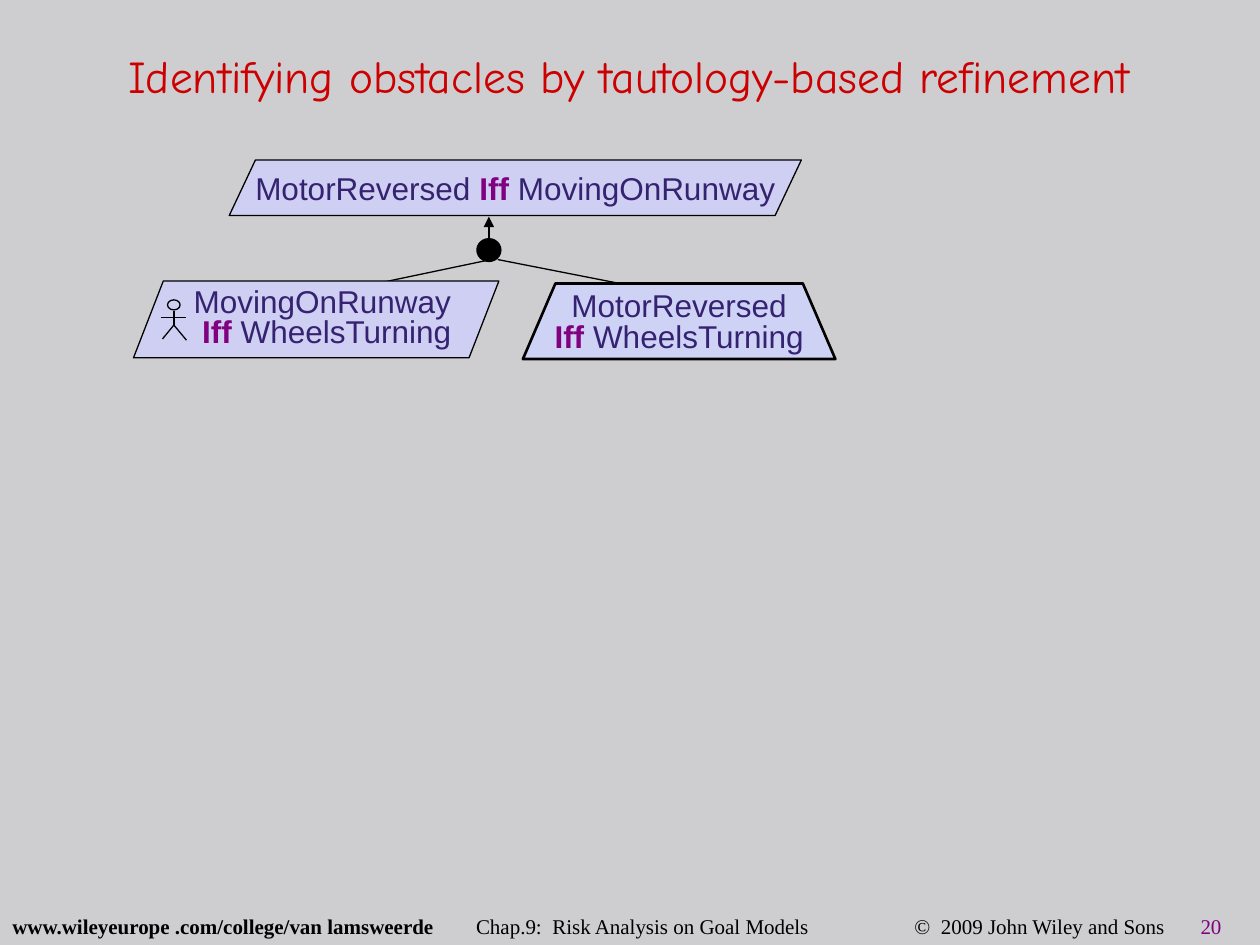
from dataclasses import dataclass

from lxml.etree import SubElement
from pptx import Presentation
from pptx.dml.color import RGBColor
from pptx.enum.shapes import MSO_CONNECTOR, MSO_SHAPE
from pptx.enum.text import MSO_ANCHOR, PP_ALIGN
from pptx.oxml.ns import qn
from pptx.util import Inches, Pt


@dataclass(frozen=True)
class Theme:
    background: str = "CECED0"
    title: str = "CC0000"
    goal: str = "CECFF2"
    obstacle: str = "CED3F6"
    text: str = "352270"
    accent: str = "800080"
    ink: str = "000000"
    title_font: str = "Comic Neue"
    body_font: str = "Arial"
    footer_font: str = "Times New Roman"
    title_size: int = 26
    body_size: int = 18
    footer_size: int = 12
    thin: float = 0.75
    thick: float = 1.5


@dataclass(frozen=True)
class Node:
    kind: MSO_SHAPE
    box: tuple
    slant: float
    fill: str
    line: float
    lines: tuple  # each line is (before, keyword, after)
    spacing: float = 0.8
    left_inset: float = 0


@dataclass(frozen=True)
class Link:
    start: tuple
    end: tuple
    arrow: bool = False


T = Theme()
IFF = "Iff "

NODES = [
    Node(MSO_SHAPE.PARALLELOGRAM, (1.82, 1.27, 4.54, 0.44), 0.472, T.goal, T.thin,
         (("MotorReversed ", IFF, "MovingOnRunway"),), spacing=1),
    Node(MSO_SHAPE.TRAPEZOID, (4.15, 2.25, 2.48, 0.6), 0.43, T.obstacle, T.thick,
         (("MotorReversed", "", ""), ("", IFF, "WheelsTurning"))),
    Node(MSO_SHAPE.PARALLELOGRAM, (1.06, 2.23, 2.9, 0.61), 0.388, T.goal, T.thin,
         (("MovingOnRunway", "", ""), ("", " " + IFF, "WheelsTurning")), left_inset=0.1),
]

REFINEMENT = [
    Link((3.95, 2.06), (4.92, 2.25)),
    Link((3.85, 2.07), (2.99, 2.25)),
    Link((3.88, 1.92), (3.88, 1.72), arrow=True),
]

AGENT_LIMBS = [
    Link((1.38, 2.47), (1.38, 2.58)),  # body
    Link((1.38, 2.58), (1.29, 2.69)),  # legs
    Link((1.38, 2.58), (1.48, 2.7)),
    Link((1.28, 2.52), (1.48, 2.52)),  # arms
]


def rgb(color: str) -> RGBColor:
    return RGBColor.from_string(color)


def set_font(font, name: str, size: int, color: str) -> None:
    font.name = name
    font.size = Pt(size)
    font.color.rgb = rgb(color)


def add_shape(slide, kind: MSO_SHAPE, box: tuple, fill: str | None, line: float):
    sp = slide.shapes.add_shape(kind, *map(Inches, box))
    sp.shadow.inherit = False
    if fill:
        sp.fill.solid()
        sp.fill.fore_color.rgb = rgb(fill)
    else:
        sp.fill.background()
    sp.line.color.rgb = rgb(T.ink)
    sp.line.width = Pt(line)
    return sp


def add_node(slide, node: Node) -> None:
    sp = add_shape(slide, node.kind, node.box, node.fill, node.line)
    sp.adjustments[0] = node.slant
    tf = sp.text_frame
    tf.word_wrap = False
    tf.vertical_anchor = MSO_ANCHOR.MIDDLE
    tf.margin_top = tf.margin_bottom = tf.margin_right = 0
    tf.margin_left = Inches(node.left_inset)
    for i, (before, keyword, after) in enumerate(node.lines):
        p = tf.add_paragraph() if i else tf.paragraphs[0]
        p.alignment = PP_ALIGN.CENTER
        p.line_spacing = node.spacing
        for text, color, bold in ((before, T.text, False), (keyword, T.accent, True),
                                  (after, T.text, False)):
            if text:
                r = p.add_run()
                r.text = text
                set_font(r.font, T.body_font, T.body_size, color)
                r.font.bold = bold


def add_link(slide, link: Link) -> None:
    ends = map(Inches, link.start + link.end)
    cx = slide.shapes.add_connector(MSO_CONNECTOR.STRAIGHT, *ends)
    cx.line.color.rgb = rgb(T.ink)
    cx.line.width = Pt(T.thin)
    if link.arrow:
        SubElement(cx.line._get_or_add_ln(), qn("a:tailEnd"), type="triangle")
    SubElement(cx._element.spPr, qn("a:effectLst"))


def add_title(slide, text: str) -> None:
    sp = slide.shapes.title
    sp.left, sp.top, sp.width, sp.height = map(Inches, (0.37, 0.16, 9.25, 0.83))
    tf = sp.text_frame
    tf.text = text
    tf.vertical_anchor = MSO_ANCHOR.MIDDLE
    p = tf.paragraphs[0]
    p.alignment = PP_ALIGN.CENTER
    p.line_spacing = 1.1
    set_font(p.font, T.title_font, T.title_size, T.title)


def add_footer(slide) -> None:
    tf = slide.shapes.add_textbox(*map(Inches, (0, 7.26, 9.97, 0.24))).text_frame
    tf.word_wrap = True
    p = tf.paragraphs[0]
    tabs = SubElement(p._p.get_or_add_pPr(), qn("a:tabLst"))
    for stop in (3.68, 7.16, 9.43):
        SubElement(tabs, qn("a:tab"), pos=str(Inches(stop)), algn="l")
    p.line_spacing = 0.7
    for text, color, bold in (
        ("www.wileyeurope .com/college/van lamsweerde", T.ink, True),
        ("\tChap.9:  Risk Analysis on Goal Models", T.ink, False),
        ("\t©  2009 John Wiley and Sons", T.ink, False),
        ("\t20", T.accent, False),
    ):
        r = p.add_run()
        r.text = text
        set_font(r.font, T.footer_font, T.footer_size, color)
        r.font.bold = bold


def main() -> None:
    prs = Presentation()
    prs.slide_width, prs.slide_height = Inches(10), Inches(7.5)
    slide = prs.slides.add_slide(prs.slide_layouts[5])
    slide.background.fill.solid()
    slide.background.fill.fore_color.rgb = rgb(T.background)

    add_footer(slide)
    add_title(slide, "Identifying obstacles by tautology-based refinement")

    # Refinement links meeting at the dot
    for link in REFINEMENT:
        add_link(slide, link)
    add_shape(slide, MSO_SHAPE.OVAL, (3.79, 1.9, 0.18, 0.17), T.ink, T.thick)

    # Goal, obstacle and expectation
    for node in NODES:
        add_node(slide, node)

    # Stick figure of the agent
    add_shape(slide, MSO_SHAPE.OVAL, (1.33, 2.38, 0.1, 0.08), None, T.thin)
    for limb in AGENT_LIMBS:
        add_link(slide, limb)

    prs.save("out.pptx")


if __name__ == "__main__":
    main()
